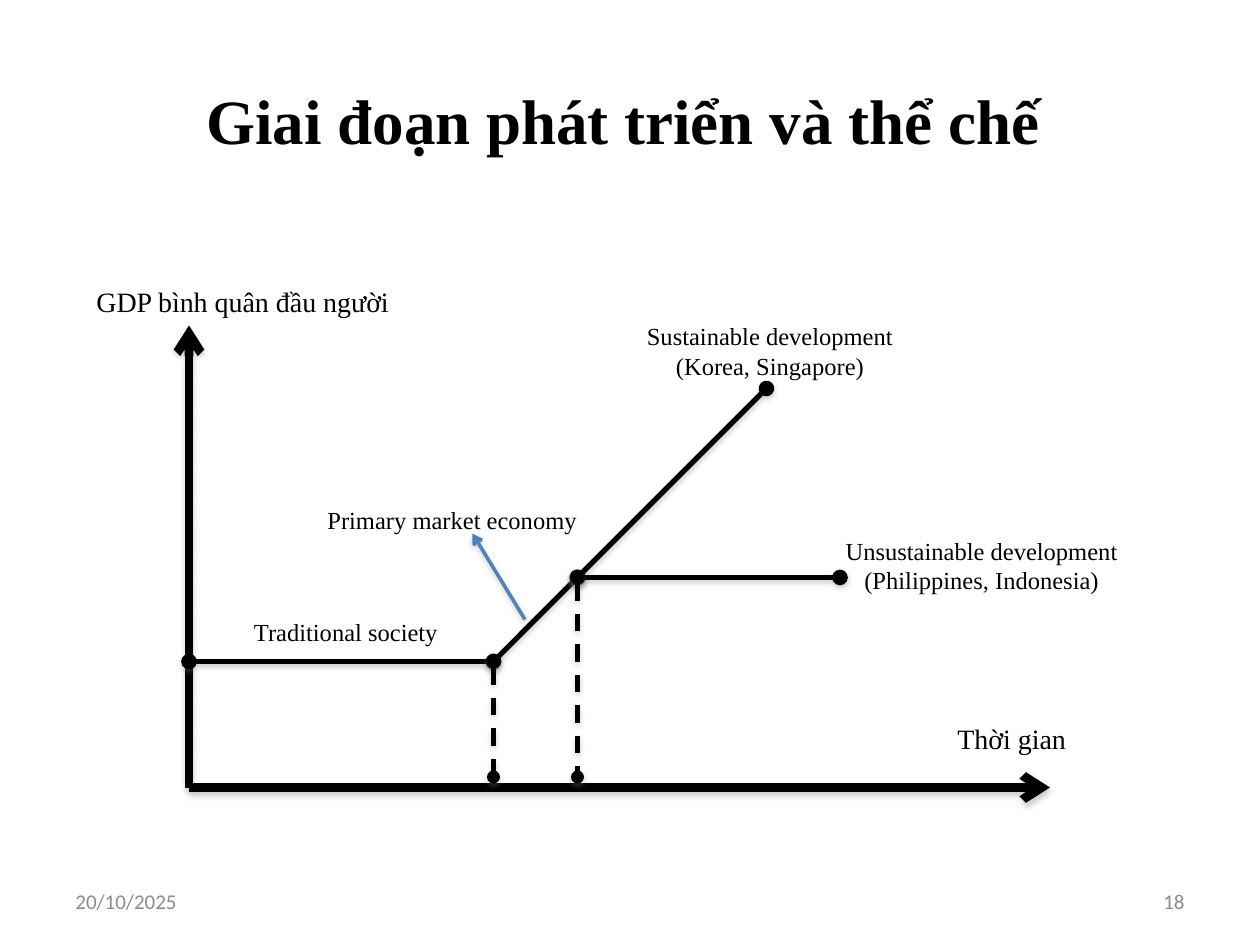
from lxml import etree
from pptx import Presentation
from pptx import util as u
from pptx.dml.color import RGBColor
from pptx.enum import dml, shapes, text
from pptx.oxml import ns

COLORS = {"ink": "000000", "accent": "4F81BD", "footer": "8C8C8C", "shadow": "808080"}
SERIF = "Times New Roman"
LEFT, CENTER, RIGHT = text.PP_ALIGN.LEFT, text.PP_ALIGN.CENTER, text.PP_ALIGN.RIGHT

deck = Presentation()
deck.slide_width, deck.slide_height = u.Pt(720), u.Pt(540)
page = deck.slides.add_slide(deck.slide_layouts[6])


def add_text(words, left, top, width, height, size, align=LEFT,
             font=SERIF, color="ink", bold=False):
    box = page.shapes.add_textbox(u.Pt(left), u.Pt(top), u.Pt(width), u.Pt(height))
    frame = box.text_frame
    frame.word_wrap = True
    frame.vertical_anchor = text.MSO_ANCHOR.MIDDLE
    para = frame.paragraphs[0]
    para.text = words
    para.alignment = align
    para.font.name, para.font.size, para.font.bold = font, u.Pt(size), bold
    para.font.color.rgb = RGBColor.from_string(COLORS[color])


def add_line(start, end, weight, head=None, tail=None, color="ink", dashed=False):
    line = page.shapes.add_connector(
        shapes.MSO_CONNECTOR.STRAIGHT, *[u.Pt(value) for value in start + end])
    line.line.width = u.Pt(weight)
    line.line.color.rgb = RGBColor.from_string(COLORS[color])
    if dashed:
        line.line.dash_style = dml.MSO_LINE.DASH
    stroke = line.line._get_or_add_ln()
    for tag, kind in (("a:headEnd", head), ("a:tailEnd", tail)):
        if kind:
            etree.SubElement(stroke, ns.qn(tag), type=kind)
    # Soft shadow straight below the line
    effects = etree.SubElement(line._element.spPr, ns.qn("a:effectLst"))
    shadow = etree.SubElement(effects, ns.qn("a:outerShdw"), blurRad="40000",
                              dist="20000", dir="5400000", rotWithShape="0")
    tint = etree.SubElement(shadow, ns.qn("a:srgbClr"), val=COLORS["shadow"])
    etree.SubElement(tint, ns.qn("a:alpha"), val="38000")


# Title and vertical axis label
add_text("Giai đoạn phát triển và thể chế", 32, 23, 648, 90, 36, CENTER, bold=True)
add_text("GDP bình quân đầu người", 48, 159, 220, 26.6, 16)

# Axes
origin = (108, 450)
for axis_end in ((108, 186), (600, 450)):
    add_line(origin, axis_end, 5, tail="arrow")

# Development path, which forks after the primary market economy
start, takeoff, fork = (108, 378), (282, 378), (330, 330)
sustained, stalled = (438, 222), (480, 330)
for first, last in ((start, takeoff), (takeoff, fork), (fork, sustained), (fork, stalled)):
    add_line(first, last, 3, "oval", "oval")

# Dashed drops to the time axis
for x, y in (takeoff, fork):
    add_line((x, y), (x, 444), 2.5, "oval", "oval", dashed=True)

# Pointer to the primary market economy
add_line((300, 354), (270, 305), 2, tail="arrow", color="accent")

# Stage labels
for words, left, top, width, height, align in (
    ("Traditional society", 138, 349, 132, 24.5, LEFT),
    ("Primary market economy", 180, 284.5, 168, 24.5, LEFT),
    ("Sustainable development (Korea, Singapore)", 344, 180, 192, 41, CENTER),
    ("Unsustainable development (Philippines, Indonesia)", 474, 302.5, 174, 41, CENTER),
):
    add_text(words, left, top, width, height, 14, align)
add_text("Thời gian", 540, 408.5, 90, 26.6, 16)

# Footer
for words, left, align in (("20/10/2025", 36, LEFT), ("18", 516, RIGHT)):
    add_text(words, left, 500.5, 168, 28.75, 12, align, "Calibri", "footer")

deck.save("out.pptx")
